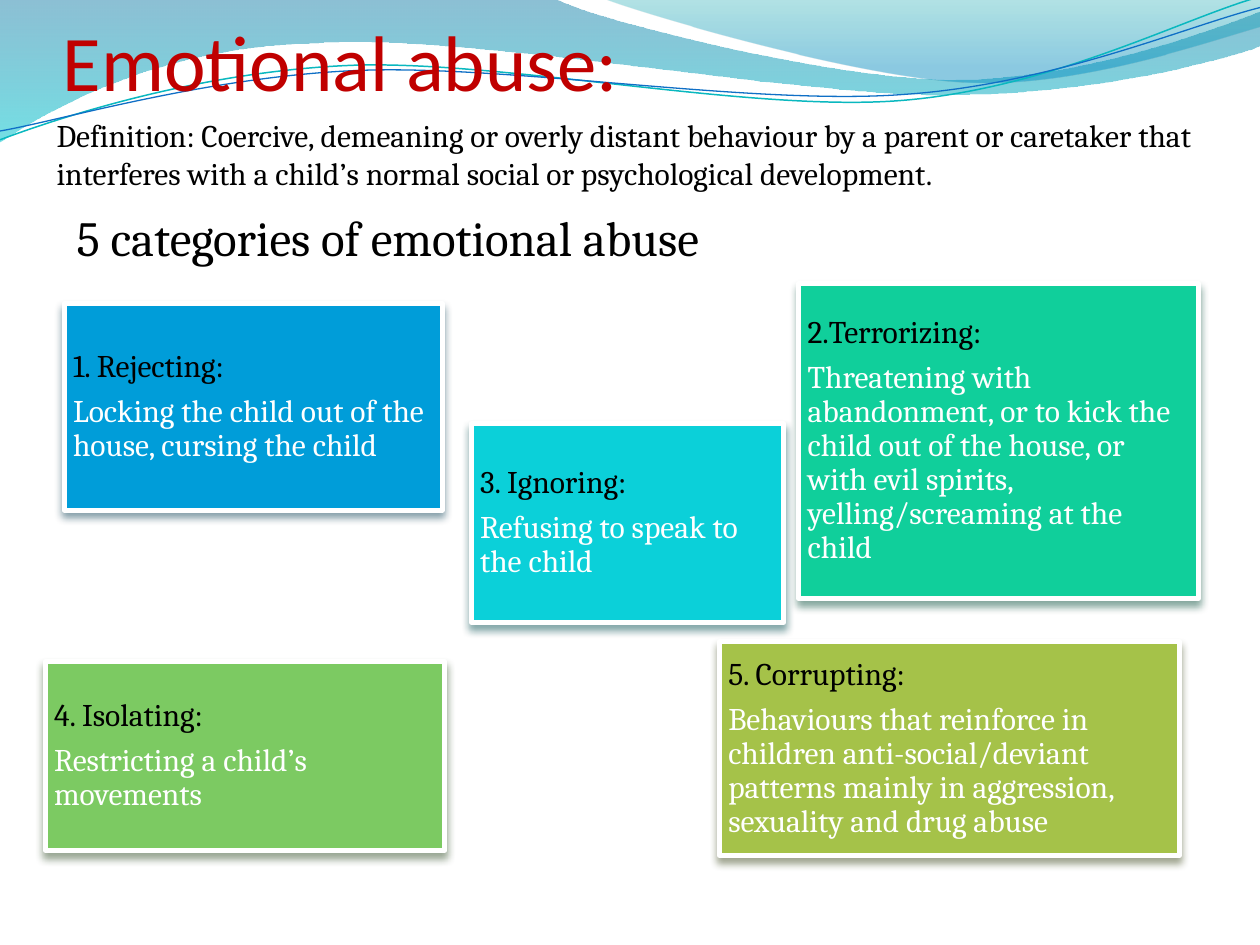
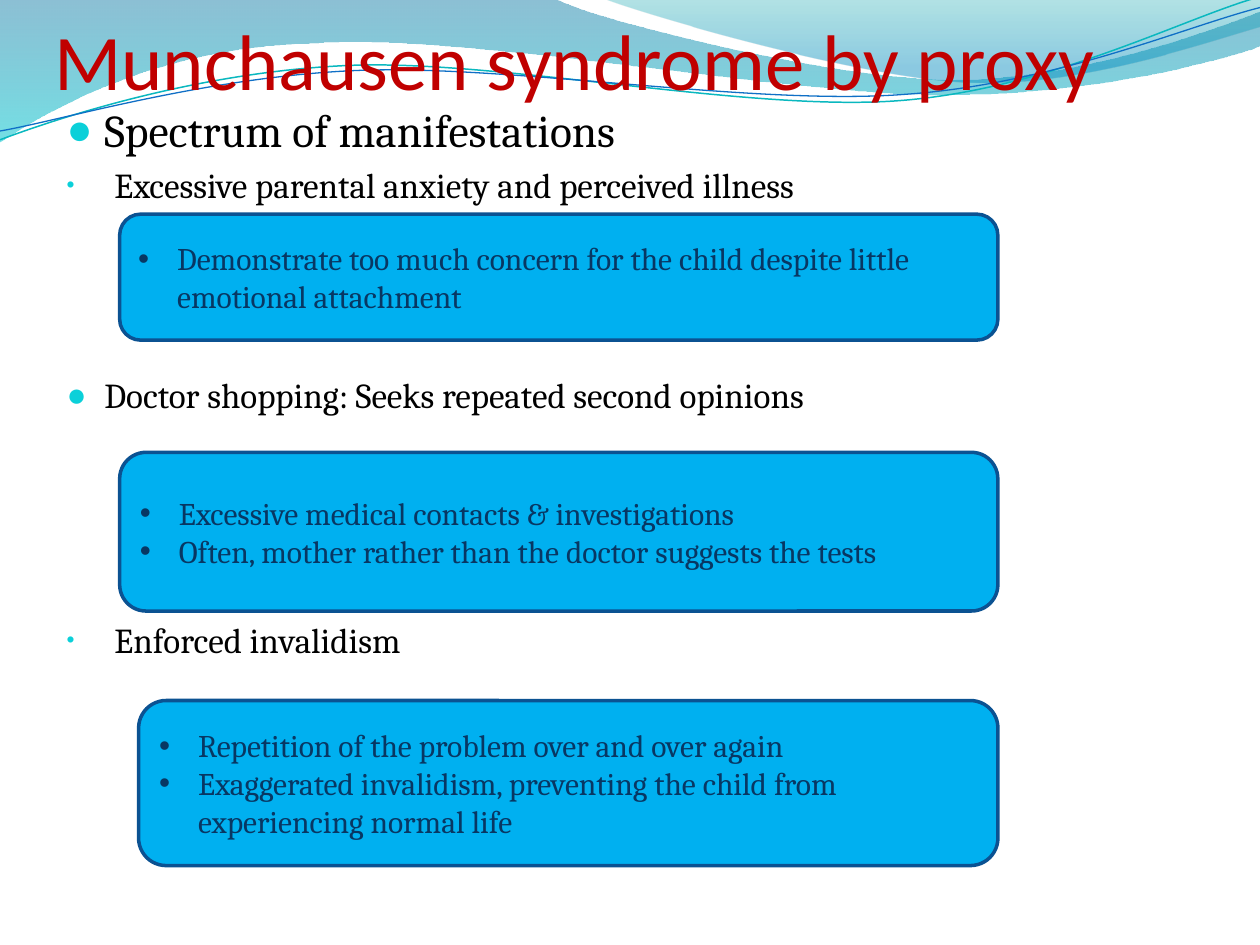
import pptx
import pptx.util
import pptx.dml.color
import pptx.enum.shapes
import pptx.enum.text
import pptx.oxml.ns
from lxml import etree

Inches = pptx.util.Inches
Pt = pptx.util.Pt
RGBColor = pptx.dml.color.RGBColor
MSO_SHAPE = pptx.enum.shapes.MSO_SHAPE
MSO_ANCHOR = pptx.enum.text.MSO_ANCHOR
PP_ALIGN = pptx.enum.text.PP_ALIGN
qn = pptx.oxml.ns.qn

TITLE_FONT = "Calibri"
BODY_FONT = "Cambria"
BLACK = RGBColor(0x00, 0x00, 0x00)
WHITE = RGBColor(0xFF, 0xFF, 0xFF)
TITLE_RED = RGBColor(0xC0, 0x00, 0x00)
BULLET_CYAN = RGBColor(0x0B, 0xD0, 0xD9)
PANEL_BLUE = RGBColor(0x00, 0xB0, 0xF0)
PANEL_EDGE = RGBColor(0x0B, 0x52, 0x92)
PANEL_TEXT = RGBColor(0x08, 0x37, 0x63)
WAVE_TEAL = RGBColor(0x0A, 0xB8, 0xBF)
WAVE_BLUE = RGBColor(0x0F, 0x6F, 0xC6)
BAND_BLUE = RGBColor(0x00, 0x74, 0xA1)
BAND_CYAN = RGBColor(0x00, 0xC6, 0xCF)
CREST_CYAN = RGBColor(0x00, 0xA1, 0xA9)
CREST_BLUE = RGBColor(0x00, 0x8B, 0xBF)

BAND_PATH = [
    (0, 0), (4.4, -0.01),
    (4.76, 0.17, 6.64, 0.63, 7.58, 0.63), (8.53, 0.63, 9.58, 0.26, 10, 0.09),
    (10.01, 0.36),
    (9.83, 0.44, 8.7, 0.76, 7.46, 0.75), (6.22, 0.75, 3.82, 0.28, 2.57, 0.34),
    (1.29, 0.36, 0.46, 0.83, -0.01, 1.13),
]
CREST_PATH = [
    (4.79, -0.01), (5.09, 0.11, 6.82, 0.62, 7.69, 0.65),
    (8.56, 0.69, 9.61, 0.32, 10, 0.21), (10, 0),
]
TEAL_WAVE_PATH = [
    (0, 1.11), (0.48, 0.93, 1.58, 0.57, 2.77, 0.52),
    (3.95, 0.47, 5.93, 0.89, 7.13, 0.8), (8.33, 0.71, 9.38, 0.15, 9.98, -0.02),
]
BLUE_WAVE_PATH = [
    (0, 1.04), (0.47, 0.96, 1.64, 0.61, 2.83, 0.56),
    (4.03, 0.51, 5.97, 0.84, 7.17, 0.75), (8.36, 0.67, 9.41, 0.21, 10, 0.06),
]

CATEGORIES = [
    ((0.51, 2.41, 3, 1.64), RGBColor(0x00, 0x9D, 0xD9), "00374C", "1. Rejecting:",
     "Locking the child out of the house, cursing the child"),
    ((3.74, 3.36, 2.48, 1.58), RGBColor(0x0B, 0xD0, 0xD9), "024B4E", "3. Ignoring:",
     "Refusing to speak to the child"),
    ((6.34, 2.25, 3.17, 2.5), RGBColor(0x10, 0xCF, 0x9B), "044A37", "2.Terrorizing:",
     "Threatening with abandonment, or to kick the child out of the house, or "
     "with evil spirits, yelling/screaming at the child"),
    ((0.36, 5.25, 3.17, 1.5), RGBColor(0x7C, 0xCA, 0x62), "2B4821", "4. Isolating:",
     "Restricting a child’s movements"),
    ((5.71, 5.09, 3.65, 1.7), RGBColor(0xA5, 0xC2, 0x49), "3A4519", "5. Corrupting:",
     "Behaviours that reinforce in children anti-social/deviant patterns mainly "
     "in aggression, sexuality and drug abuse"),
]

MANIFESTATIONS = [
    ("Spectrum of manifestations", 26, 0, 0.3, "●", 95),
    ("Excessive parental anxiety and perceived illness", 20, 4, 0.38, "•", 65),
    ("Doctor shopping: Seeks repeated second opinions", 20, 96, 0.3, "●", 95),
    ("Enforced invalidism", 20, 116, 0.38, "•", 65),
]
DETAIL_PANELS = [
    ((0.95, 1.7, 6.97, 1),
     ["Demonstrate too much concern for the child despite little emotional attachment"]),
    ((0.95, 3.59, 6.97, 1.26),
     ["Excessive medical contacts & investigations",
      "Often, mother rather than the doctor suggests the tests"]),
    ((1.1, 5.56, 6.82, 1.31),
     ["Repetition of the problem over and over again",
      "Exaggerated invalidism, preventing the child from experiencing normal life"]),
]


def add_xml(parent, tag, **attributes):
    """Append a DrawingML element and return it."""
    values = {name: str(value) for name, value in attributes.items()}
    return etree.SubElement(parent, qn(tag), values)


def add_outline(slide, segments, close):
    """Draw line ends (2 numbers) and Bezier curves (6 numbers) as a freeform."""
    start, *ends = [tuple(map(Inches, segment[-2:])) for segment in segments]
    builder = slide.shapes.build_freeform(*start)
    builder.add_line_segments(ends, close=close)
    outline = builder.convert_to_shape()
    outline.shadow.inherit = False
    lines = list(outline._element.spPr.iter(qn("a:lnTo")))
    for line, segment in zip(lines, segments[1:]):
        if len(segment) == 6:
            curve = etree.Element(qn("a:cubicBezTo"))
            for x, y in zip(segment[::2], segment[1::2]):
                add_xml(curve, "a:pt", x=Inches(x) - outline.left, y=Inches(y) - outline.top)
            line.getparent().replace(line, curve)
    return outline


def add_band(slide, segments, stops):
    """Draw a closed band with a translucent top-to-bottom gradient."""
    band = add_outline(slide, segments, True)
    band.line.fill.background()
    band.fill.gradient()
    band.fill.gradient_angle = 270
    for stop, (position, color, _) in zip(band.fill.gradient_stops, stops):
        stop.position = position
        stop.color.rgb = color
    colors = band._element.spPr.iter(qn("a:srgbClr"))
    for color, (_, _, opacity) in zip(colors, stops):
        add_xml(color, "a:alpha", val=opacity * 1000)


def add_wave(slide, segments, color, width):
    """Draw an open wavy line."""
    wave = add_outline(slide, segments, False)
    wave.fill.background()
    wave.line.color.rgb = color
    wave.line.width = Pt(width)


def set_font(paragraph, size, color, name=BODY_FONT):
    """Set the font of a whole paragraph."""
    paragraph.font.name = name
    paragraph.font.size = Pt(size)
    paragraph.font.color.rgb = color


def set_bullet(paragraph, indent, char, percent=100, color=None):
    """Give a paragraph a hanging bullet."""
    properties = paragraph._p.get_or_add_pPr()
    properties.set("marL", str(Inches(indent)))
    properties.set("indent", str(-Inches(indent)))
    if color is not None:
        add_xml(add_xml(properties, "a:buClr"), "a:srgbClr", val=color)
    add_xml(properties, "a:buSzPct", val=percent * 1000)
    add_xml(properties, "a:buFont", typeface="Arial")
    add_xml(properties, "a:buChar", char=char)


def add_paragraphs(frame, texts):
    """Fill a text frame with left-aligned paragraphs and return them."""
    frame.text = "\n".join(texts)
    for paragraph in frame.paragraphs:
        paragraph.alignment = PP_ALIGN.LEFT
    return frame.paragraphs


def set_insets(frame, left, top, right, bottom):
    """Set the four inner margins of a text frame."""
    frame.margin_left, frame.margin_top = Inches(left), Inches(top)
    frame.margin_right, frame.margin_bottom = Inches(right), Inches(bottom)


def add_text(slide, box, texts, size):
    """Add a plain black text box that does not wrap."""
    frame = slide.shapes.add_textbox(*map(Inches, box)).text_frame
    frame.word_wrap = False
    for paragraph in add_paragraphs(frame, texts):
        set_font(paragraph, size, BLACK)


def add_box(slide, kind, box, fill, edge, edge_width):
    """Add a filled, outlined shape and return it."""
    shape = slide.shapes.add_shape(kind, *map(Inches, box))
    shape.shadow.inherit = False
    shape.fill.solid()
    shape.fill.fore_color.rgb = fill
    shape.line.color.rgb = edge
    shape.line.width = Pt(edge_width)
    shape.text_frame.word_wrap = True
    shape.text_frame.vertical_anchor = MSO_ANCHOR.MIDDLE
    return shape


def add_category(slide, box, fill, shadow_color, heading, example):
    """Add a category card with a heading, an example and a soft shadow."""
    card = add_box(slide, MSO_SHAPE.RECTANGLE, box, fill, WHITE, 3)
    effects = card._element.spPr.find(qn("a:effectLst"))
    shadow = add_xml(effects, "a:outerShdw", blurRad=Pt(4.5), dist=Pt(3),
                     dir=5400000, rotWithShape=0)
    add_xml(add_xml(shadow, "a:srgbClr", val=shadow_color), "a:alpha", val=48000)
    set_insets(card.text_frame, 0.07, 0.07, 0.07, 0.07)
    paragraphs = add_paragraphs(card.text_frame, [heading, example])
    for paragraph, color in zip(paragraphs, (BLACK, WHITE)):
        paragraph.line_spacing = 0.9
        paragraph.space_after = Pt(6.3)
        set_font(paragraph, 18, color)


def add_detail_panel(slide, box, details):
    """Add a rounded panel with bulleted details."""
    panel = add_box(slide, MSO_SHAPE.ROUNDED_RECTANGLE, box, PANEL_BLUE, PANEL_EDGE, 2)
    for paragraph in add_paragraphs(panel.text_frame, details):
        set_bullet(paragraph, 0.31, "•")
        set_font(paragraph, 18, PANEL_TEXT)


def add_manifestations(slide):
    """Add the bulleted list whose gaps leave room for the panels."""
    frame = slide.shapes.add_textbox(*map(Inches, (0.43, 0.76, 9, 6.46))).text_frame
    frame.word_wrap = True
    paragraphs = add_paragraphs(frame, [item[0] for item in MANIFESTATIONS])
    for paragraph, (_, size, gap, indent, char, percent) in zip(paragraphs, MANIFESTATIONS):
        set_bullet(paragraph, indent, char, percent, BULLET_CYAN)
        if gap:
            paragraph.space_before = Pt(gap)
        set_font(paragraph, size, BLACK)


def add_titled_slide(deck, title, left, top, height):
    """Add a slide with the wave header and its title."""
    slide = deck.slides.add_slide(deck.slide_layouts[6])
    add_band(slide, BAND_PATH, [(0, BAND_BLUE, 45), (1, BAND_CYAN, 55)])
    add_band(slide, CREST_PATH, [(0, CREST_CYAN, 30), (0.8, CREST_BLUE, 45)])
    add_wave(slide, TEAL_WAVE_PATH, WAVE_TEAL, 0.85)
    add_wave(slide, BLUE_WAVE_PATH, WAVE_BLUE, 0.75)
    frame = slide.shapes.add_textbox(*map(Inches, (left, top, 9, height))).text_frame
    frame.word_wrap = True
    frame.vertical_anchor = MSO_ANCHOR.BOTTOM
    set_insets(frame, 0, 0.05, 0, 0)
    set_font(add_paragraphs(frame, [title])[0], 45, TITLE_RED, TITLE_FONT)
    return slide


def main():
    """Build both slides and save the deck."""
    deck = pptx.Presentation()
    deck.slide_width, deck.slide_height = Inches(10), Inches(7.5)

    abuse = add_titled_slide(deck, "Emotional abuse:", 0.5, 0.08, 0.77)
    for category in CATEGORIES:
        add_category(abuse, *category)
    add_text(abuse, (0.35, 0.87, 9.78, 0.71), [
        "Definition: Coercive, demeaning or overly distant behaviour by a parent or caretaker that",
        "interferes with a child’s normal social or psychological development."], 18)
    add_text(abuse, (0.51, 1.6, 5.49, 0.57), ["5 categories of emotional abuse"], 28)

    munchausen = add_titled_slide(deck, "Munchausen syndrome by proxy", 0.43, 0.13, 0.71)
    add_manifestations(munchausen)
    for panel in DETAIL_PANELS:
        add_detail_panel(munchausen, *panel)

    deck.save("out.pptx")


if __name__ == "__main__":
    main()
